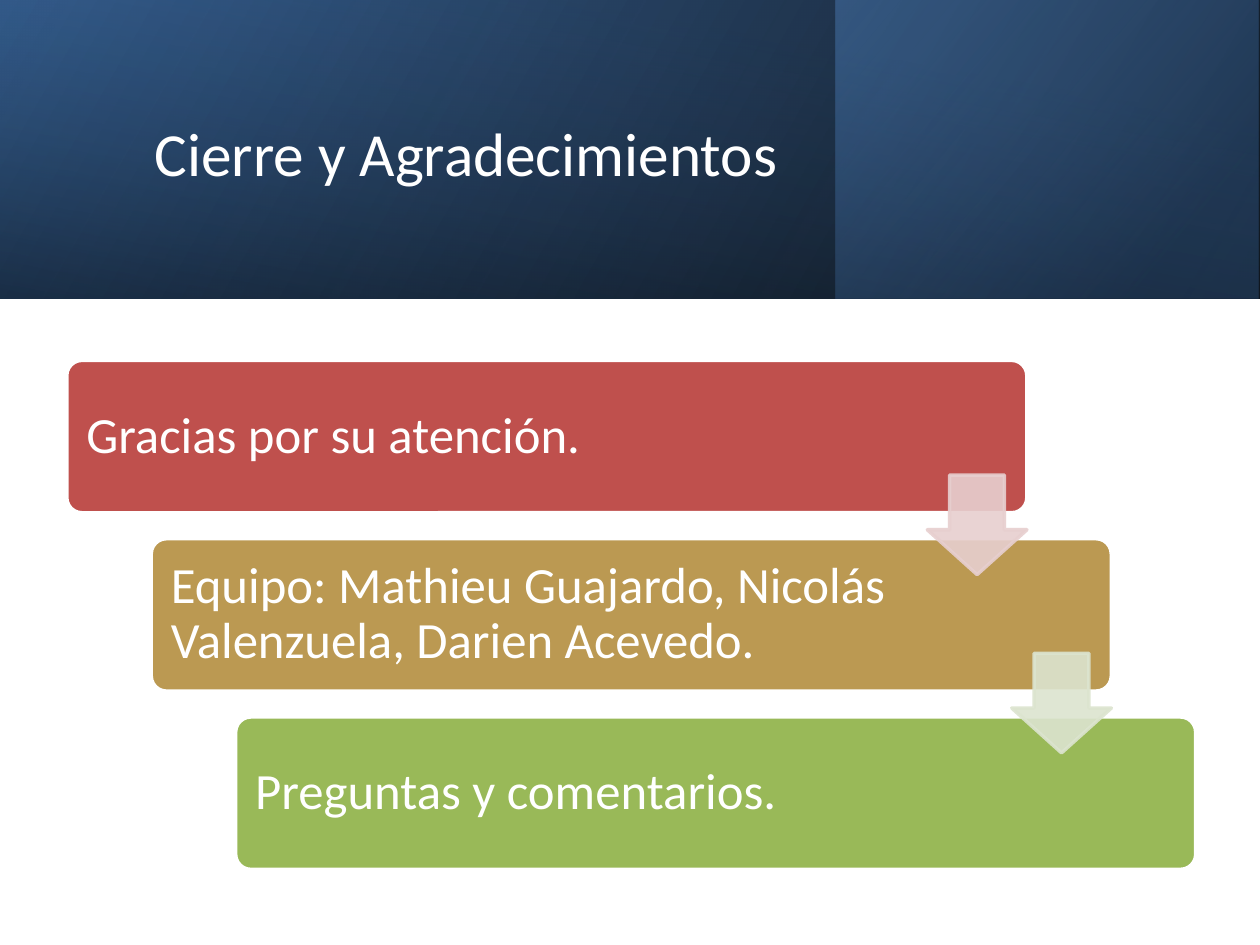
import pptx
import pptx.util
import pptx.dml.color
import pptx.enum.shapes
import pptx.enum.text
import pptx.oxml.ns
import pptx.oxml.xmlchemy

Inches = pptx.util.Inches
Pt = pptx.util.Pt
qn = pptx.oxml.ns.qn
KIND = pptx.enum.shapes.MSO_SHAPE
FONT = "Calibri"
HUE = {
    "white": "FFFFFF", "black": "000000", "navy": "366092",
    "deep": "244061", "blue": "4F81BD",
    "red": "BF504D", "gold": "BB9952", "green": "99B958",
    "rose": "E7CFCF", "sage": "DCE4CF",
}
STEPS = [
    ("Gracias por su atención.", "red"),
    ("Equipo: Mathieu Guajardo, Nicolás Valenzuela, Darien Acevedo.", "gold"),
    ("Preguntas y comentarios.", "green"),
]
ARROWS = ["rose", "sage"]


def color(name):
    return pptx.dml.color.RGBColor.from_string(HUE[name])


def make_tag(name, **items):
    """Make an XML element with the given attributes."""
    tag = pptx.oxml.xmlchemy.OxmlElement(name)
    for key, value in items.items():
        tag.set(key, str(value))
    return tag


def add_alpha(node, value):
    """Set the opacity, in percent, of a colour element."""
    node.append(make_tag("a:alpha", val=value * 1000))


def add_shape(slide, kind, box):
    shape = slide.shapes.add_shape(kind, *map(Inches, box))
    shape.shadow.inherit = False
    return shape


def paint(shape, name, edge):
    shape.fill.solid()
    shape.fill.fore_color.rgb = color(name)
    shape.line.color.rgb = color(edge)
    shape.line.width = Pt(2)


def add_shade(slide, box, stops, angle, turn=0):
    """Add a mirrored rectangle with a gradient of (place, colour, opacity)."""
    shape = add_shape(slide, KIND.RECTANGLE, box)
    shape.rotation = turn
    shape.line.fill.background()
    props = shape.element.spPr
    props.find(qn("a:xfrm")).set("flipH", "1")
    shape.fill.gradient()
    grad = props.find(qn("a:gradFill"))
    for child in list(grad):
        grad.remove(child)
    grad.set("rotWithShape", "1")
    group = make_tag("a:gsLst")
    for place, name, alpha in stops:
        stop = make_tag("a:gs", pos=place * 1000)
        tone = make_tag("a:srgbClr", val=HUE[name])
        add_alpha(tone, alpha)
        stop.append(tone)
        group.append(stop)
    grad.append(group)
    grad.append(make_tag("a:lin", ang=angle * 60000, scaled=0))


def write(shape, text, size, pads):
    frame = shape.text_frame
    frame.word_wrap = True
    frame.vertical_anchor = pptx.enum.text.MSO_ANCHOR.MIDDLE
    (frame.margin_left, frame.margin_top,
     frame.margin_right, frame.margin_bottom) = map(Inches, pads)
    para = frame.paragraphs[0]
    para.text = text
    para.alignment = pptx.enum.text.PP_ALIGN.LEFT
    para.line_spacing = 0.9
    para.font.name = FONT
    para.font.size = Pt(size)
    para.font.color.rgb = color("white")


def add_banner(slide, left, top, wide, high):
    add_shade(slide, (left, top, wide, high),
              [(0, "black", 96), (100, "navy", 100)], 330)
    add_shade(slide, (left + 6.63, top, 3.36, high),
              [(0, "deep", 68), (19, "deep", 68), (100, "blue", 48)], 320)
    # A quarter turn swaps the sides of this layer about its centre.
    shift = (wide - high) / 2
    add_shade(slide, (left + shift, top - shift, high, wide),
              [(0, "navy", 16), (23, "navy", 16),
               (99, "black", 45), (100, "black", 45)], 350, 270)
    title = slide.shapes.add_textbox(
        *map(Inches, (left + 1.13, top + 0.38, 7.97, 1.72)))
    write(title, "Cierre y Agradecimientos", 35, (0.1, 0.05, 0.1, 0.05))


def add_steps(slide, left, top, wide, high):
    """Stagger the steps down the box, with an arrow over each gap."""
    card, tall, side = 7.62, 1.21, 0.79
    across = (wide - card) / (len(STEPS) - 1)
    down = (high - tall) / (len(STEPS) - 1)
    for i, (text, name) in enumerate(STEPS):
        shape = add_shape(slide, KIND.ROUNDED_RECTANGLE,
                          (left + i * across, top + i * down, card, tall))
        shape.adjustments[0] = 0.1
        paint(shape, name, "white")
        write(shape, text, 29, (0.12, 0.12, 1.3 if i == 0 else 1.5, 0.12))
    for i, name in enumerate(ARROWS):
        arrow = add_shape(slide, KIND.DOWN_ARROW,
                          (left + card - side + i * across,
                           top + 0.91 + i * down, side, side))
        arrow.adjustments[0] = 0.55
        arrow.adjustments[1] = 0.45
        paint(arrow, name, name)
        for tone in arrow.element.spPr.iter(qn("a:srgbClr")):
            add_alpha(tone, 90)


def main():
    deck = pptx.Presentation()
    deck.slide_width = Inches(10)
    deck.slide_height = Inches(7.5)
    slide = deck.slides.add_slide(deck.slide_layouts[6])
    add_banner(slide, 0, 0, 10, 2.37)
    add_steps(slide, 0.53, 2.86, 8.96, 4.04)
    deck.save("out.pptx")


if __name__ == "__main__":
    main()
